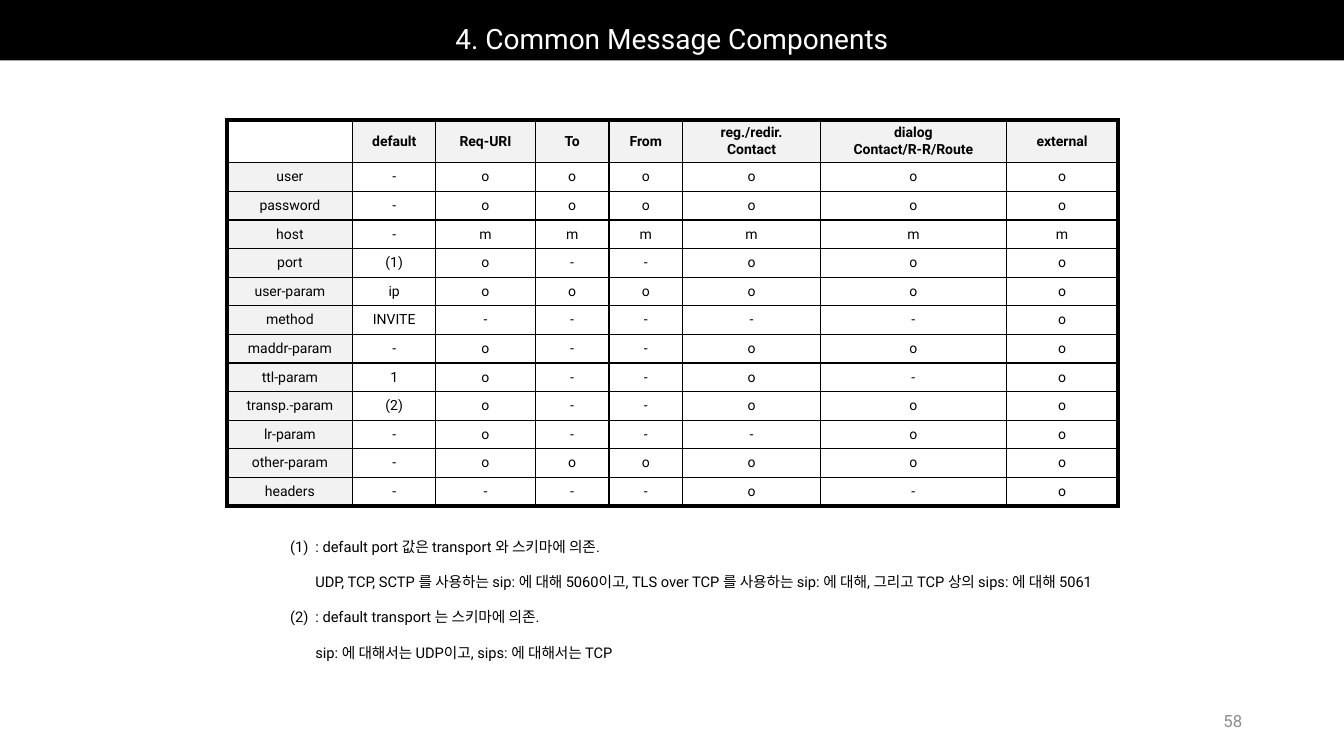
from copy import deepcopy
from lxml.etree import SubElement
from pptx import Presentation
from pptx.dml.color import RGBColor
from pptx.enum.text import MSO_ANCHOR as Anchor, MSO_AUTO_SIZE as AutoSize, PP_ALIGN as Align
from pptx.oxml import parse_xml
from pptx.oxml.ns import nsdecls, qn
from pptx.util import Inches, Pt

BLACK, WHITE, PALE, GREY = "000000", "FFFFFF", "F2F2F2", "8C8C8C"
FONT = "Roboto"
WIDTH, HEIGHT = 13.33, 7.5
THIN, THICK = 1, 3
HEADER_HEIGHT = 0.41
COLUMN_WIDTHS = [1.25, 0.82, 0.99, 0.73, 0.73, 1.37, 1.84, 1.11]
HEADINGS = ["", "default", "Req-URI", "To", "From", "reg./redir.\nContact",
            "dialog\nContact/R-R/Route", "external"]
# Component, default value, then one mark per usage context
COMPONENTS = [
    ("user", "-", "oooooo"),
    ("password", "-", "oooooo"),
    ("host", "-", "mmmmmm"),
    ("port", "(1)", "o--ooo"),
    ("user-param", "ip", "oooooo"),
    ("method", "INVITE", "-----o"),
    ("maddr-param", "-", "o--ooo"),
    ("ttl-param", "1", "o--o-o"),
    ("transp.-param", "(2)", "o--ooo"),
    ("lr-param", "-", "o---oo"),
    ("other-param", "-", "oooooo"),
    ("headers", "-", "---o-o"),
]
NOTES = [
    ": default port 값은 transport 와 스키마에 의존.\n"
    "UDP, TCP, SCTP 를 사용하는 sip: 에 대해 5060이고, TLS over TCP 를 사용하는 sip: 에 대해, "
    "그리고 TCP 상의 sips: 에 대해 5061",
    ": default transport 는 스키마에 의존.\nsip: 에 대해서는 UDP이고, sips: 에 대해서는 TCP",
]


def color(hex_value):
    return RGBColor.from_string(hex_value)


def write(paragraph, text, size, ink=BLACK, bold=False, align=Align.LEFT):
    paragraph.text = text
    paragraph.alignment = align
    for run in paragraph.runs:
        run.font.name, run.font.size, run.font.bold = FONT, Pt(size), bold
        run.font.color.rgb = color(ink)
    # Line breaks take the size of the text around them
    for line_break in paragraph._p.findall(qn("a:br")):
        for old in list(line_break):
            line_break.remove(old)
        line_break.append(deepcopy(paragraph.runs[0]._r.rPr))


def set_borders(cell, **widths):
    properties = cell._tc.get_or_add_tcPr()
    for position, side in enumerate("LRTB"):
        properties.insert(position, parse_xml(
            f'<a:ln{side} {nsdecls("a")} w="{Pt(widths[side])}"><a:solidFill>'
            f'<a:srgbClr val="{BLACK}"/></a:solidFill></a:ln{side}>'))


def place(box):
    return [Inches(length) for length in box]


def add_title(slide, box, text):
    title = slide.shapes.title
    title.left, title.top, title.width, title.height = place(box)
    title.fill.solid()
    title.fill.fore_color.rgb = color(BLACK)
    frame = title.text_frame
    frame.auto_size, frame.vertical_anchor = AutoSize.NONE, Anchor.BOTTOM
    write(frame.paragraphs[0], text, 20, WHITE, align=Align.CENTER)
    frame.paragraphs[0].line_spacing = 0.9


def add_component_table(slide, box):
    rows = [HEADINGS] + [[name, default, *marks] for name, default, marks in COMPONENTS]
    last_row, last_column = len(rows) - 1, len(HEADINGS) - 1
    table = slide.shapes.add_table(len(rows), len(HEADINGS), *place(box)).table
    for column, width in zip(table.columns, COLUMN_WIDTHS):
        column.width = Inches(width)
    for row in table.rows:
        row.height = Inches((box[3] - HEADER_HEIGHT) / last_row)
    table.rows[0].height = Inches(HEADER_HEIGHT)

    for r, labels in enumerate(rows):
        for c, label in enumerate(labels):
            cell = table.cell(r, c)
            is_label = (r == 0) != (c == 0)
            cell.fill.solid()
            cell.fill.fore_color.rgb = color(PALE if is_label else WHITE)
            cell.vertical_anchor = Anchor.MIDDLE
            write(cell.text_frame.paragraphs[0], label, 10, bold=r == 0, align=Align.CENTER)
            # Thick frame around the table, thin lines inside
            set_borders(cell, L=THICK if c == 0 else THIN,
                        R=THICK if c == last_column else THIN,
                        T=THICK if r == 0 else THIN,
                        B=THICK if r == last_row else THIN)


def add_notes_list(slide, box):
    frame = slide.shapes.add_textbox(*place(box)).text_frame
    frame.word_wrap, frame.auto_size = True, AutoSize.SHAPE_TO_FIT_TEXT
    for number, note in enumerate(NOTES):
        paragraph = frame.add_paragraph() if number else frame.paragraphs[0]
        write(paragraph, note, 10.5)
        paragraph.line_spacing = 2.0
        # Hanging "(1)" numbering
        properties = paragraph._p.get_or_add_pPr()
        properties.set("marL", str(Inches(0.25)))
        properties.set("indent", str(-Inches(0.25)))
        SubElement(properties, qn("a:buFont"), typeface=FONT)
        SubElement(properties, qn("a:buAutoNum"), type="arabicParenBoth")


def add_page_number(slide, box, number):
    frame = slide.shapes.add_textbox(*place(box)).text_frame
    frame.word_wrap, frame.vertical_anchor = True, Anchor.MIDDLE
    write(frame.paragraphs[0], number, 12, GREY, align=Align.RIGHT)


deck = Presentation()
deck.slide_width, deck.slide_height = Inches(WIDTH), Inches(HEIGHT)
components = deck.slides.add_slide(deck.slide_layouts[5])
add_title(components, (0, 0, WIDTH, 0.08 * HEIGHT), "4. Common Message Components")
add_component_table(components, (2.25, 1.19, sum(COLUMN_WIDTHS), 3.82))
add_notes_list(components, (2.78, 5.11, 8.54, 1.46))
add_page_number(components, (9.42, 6.95, 3, 0.4), "58")
deck.save("out.pptx")
